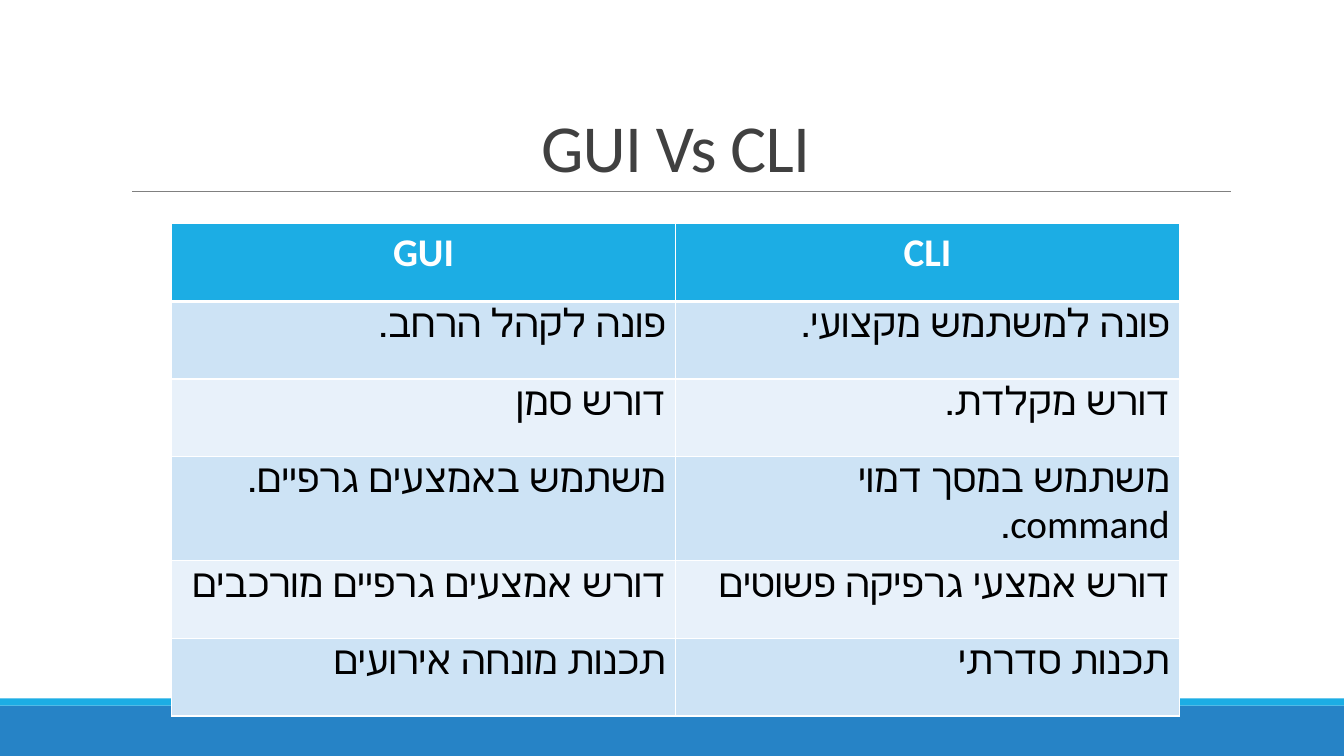
from lxml.etree import SubElement
from pptx import Presentation
from pptx.dml.color import RGBColor
from pptx.enum.shapes import MSO_CONNECTOR, MSO_SHAPE
from pptx.enum.text import MSO_ANCHOR, PP_ALIGN
from pptx.oxml import parse_xml
from pptx.oxml.ns import nsdecls, qn
from pptx.util import Inches, Pt

# Content
TITLE = "GUI Vs CLI"
COMPARISON = [
    ("GUI", "CLI"),
    ("פונה לקהל הרחב.", "פונה למשתמש מקצועי."),
    ("דורש סמן ", "דורש מקלדת."),
    ("משתמש באמצעים גרפיים.", "משתמש במסך דמוי command."),
    ("דורש אמצעים גרפיים מורכבים", "דורש אמצעי גרפיקה פשוטים"),
    ("תכנות מונחה אירועים", "תכנות סדרתי"),
]

THEME = {
    "font": "Calibri", "title_size": 48, "table_size": 28,
    "title": "404040", "rule": "808080", "footer": "2683C6", "accent": "1CADE4",
    "header_text": "FFFFFF", "body_text": "000000", "border": "FFFFFF",
    "bands": ("CDE3F5", "E8F1FA"),
}

# Layout in inches
SLIDE_W, SLIDE_H = 13.33, 7.5
FOOTER_TOP, STRIPE_H = 7, 0.07
RULE_LEFT, RULE_RIGHT, RULE_Y = 1.31, 12.21, 1.9
TABLE_LEFT, TABLE_TOP, TABLE_W, ROW_H = 1.7, 2.22, 10, 0.77


def color(key):
    return RGBColor.from_string(THEME[key])


def add_band(slide, top, height, key):
    band = slide.shapes.add_shape(
        MSO_SHAPE.RECTANGLE, 0, Inches(top), Inches(SLIDE_W), Inches(height))
    band.shadow.inherit = False
    band.fill.solid()
    band.fill.fore_color.rgb = color(key)
    band.line.fill.background()


def set_font(paragraph, size, key, bold=False):
    paragraph.font.name = THEME["font"]
    paragraph.font.size = Pt(THEME[size])
    paragraph.font.color.rgb = color(key)
    paragraph.font.bold = bold


def set_borders(cell, widths):
    properties = cell._tc.get_or_add_tcPr()
    for index, (side, width) in enumerate(zip("LRTB", widths)):
        properties.insert(index, parse_xml(
            f'<a:ln{side} {nsdecls("a")} w="{Pt(width)}"><a:solidFill>'
            f'<a:srgbClr val="{THEME["border"]}"/></a:solidFill></a:ln{side}>'))


def fill_cell(cell, text, row):
    header = row == 0
    cell.text = text
    paragraph = cell.text_frame.paragraphs[0]
    set_font(paragraph, "table_size", "header_text" if header else "body_text", header)
    paragraph.alignment = PP_ALIGN.CENTER if header else PP_ALIGN.RIGHT
    if not header:
        paragraph._p.get_or_add_pPr().set("rtl", "1")
    cell.fill.solid()
    cell.fill.fore_color.rgb = (
        color("accent") if header else RGBColor.from_string(THEME["bands"][(row - 1) % 2]))
    set_borders(cell, (1, 1, 3 if row == 1 else 1, 3 if header else 1))


def main():
    deck = Presentation()
    deck.slide_width, deck.slide_height = Inches(SLIDE_W), Inches(SLIDE_H)
    slide = deck.slides.add_slide(deck.slide_layouts[6])

    # Footer bands
    add_band(slide, FOOTER_TOP, SLIDE_H - FOOTER_TOP, "footer")
    add_band(slide, FOOTER_TOP - STRIPE_H, STRIPE_H, "accent")

    # Rule under the title
    rule = slide.shapes.add_connector(
        MSO_CONNECTOR.STRAIGHT, Inches(RULE_LEFT), Inches(RULE_Y),
        Inches(RULE_RIGHT), Inches(RULE_Y))
    rule.line.color.rgb = color("rule")
    rule.line.width = Pt(0.5)
    SubElement(rule._element.spPr, qn("a:effectLst"))

    # Title
    title = slide.shapes.add_textbox(Inches(1.2), Inches(0.31), Inches(11), Inches(1.59))
    title.text_frame.word_wrap = True
    title.text_frame.vertical_anchor = MSO_ANCHOR.BOTTOM
    heading = title.text_frame.paragraphs[0]
    heading.alignment = PP_ALIGN.CENTER
    heading.line_spacing = 0.85
    set_font(heading, "title_size", "title")
    heading_run = heading.add_run()
    heading_run.text = TITLE
    heading_run.font._element.set("spc", "-50")

    # Comparison table
    rows, columns = len(COMPARISON), len(COMPARISON[0])
    comparison = slide.shapes.add_table(
        rows, columns, Inches(TABLE_LEFT), Inches(TABLE_TOP),
        Inches(TABLE_W), Inches(ROW_H * rows)).table
    for row, texts in enumerate(COMPARISON):
        for column, text in enumerate(texts):
            fill_cell(comparison.cell(row, column), text, row)

    deck.save("out.pptx")


if __name__ == "__main__":
    main()
